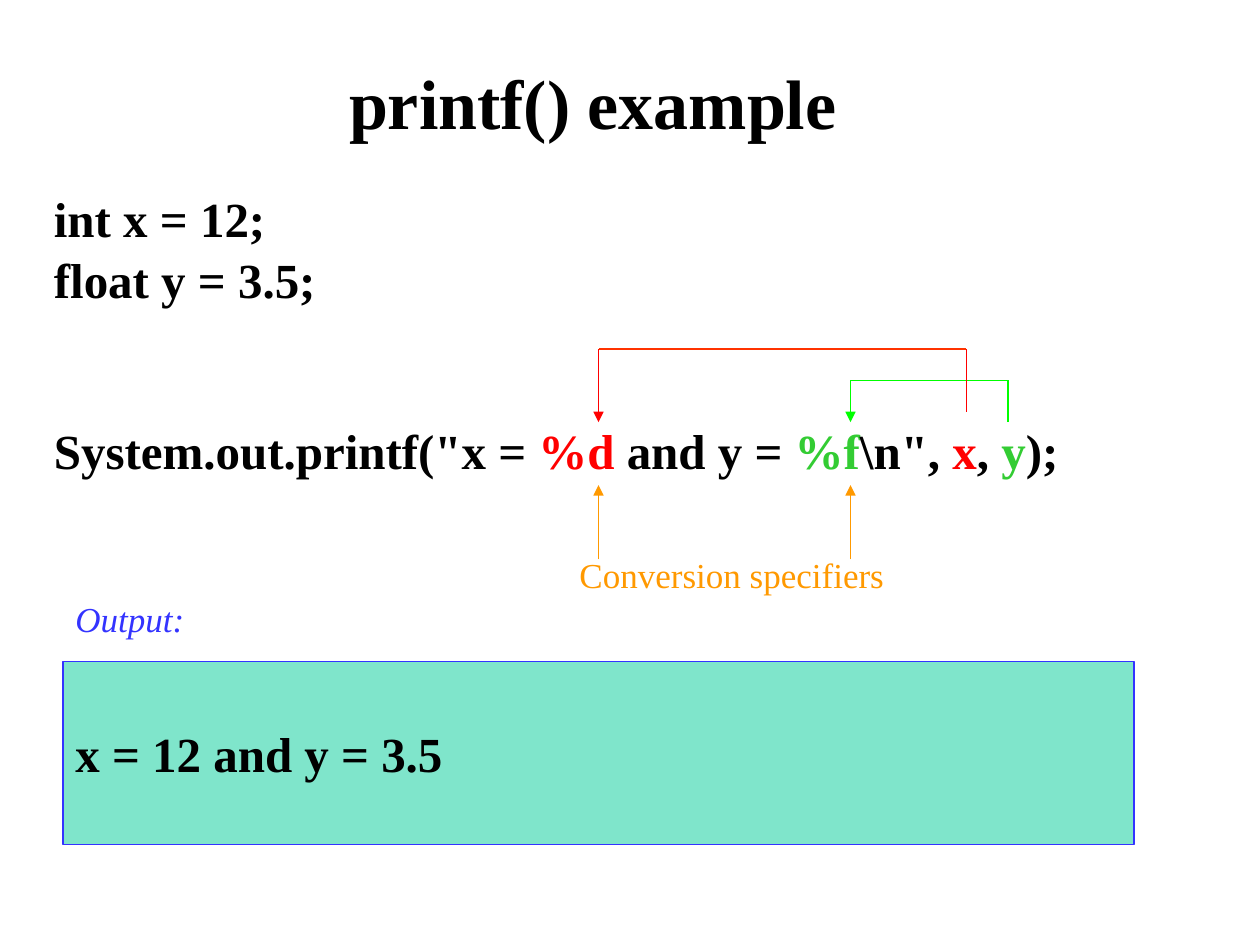
from itertools import pairwise
from lxml.etree import SubElement
from pptx import Presentation
from pptx.dml.color import RGBColor
from pptx.enum.shapes import MSO_CONNECTOR, MSO_SHAPE
from pptx.enum.text import MSO_ANCHOR, PP_ALIGN
from pptx.oxml.ns import qn
from pptx.util import Inches, Pt

THEME = {
    "font": "Times New Roman",
    "title": 40, "code": 28, "label": 20,
    "black": "000000", "red": "FF0000", "bridge": "FF3300",
    "green": "33CC33", "bright": "00FF00",
    "orange": "FF9900", "blue": "3333FF", "teal": "00CC99",
    "line": 0.75,
}

TITLE = [[("printf() example", "black")]]
CODE = [
    [("int x = 12;\vfloat y = 3.5;", "black")],
    [('System.out.printf("x = ', "black"), ("%d", "red"), (" and y = ", "black"),
     ("%f", "green"), ('\\n", ', "black"), ("x", "red"), (", ", "black"),
     ("y", "green"), (");", "black")],
]
OUTPUT = [[("x = 12 and y = 3.5", "black")]]
SPECIFIERS = [[("Conversion specifiers", "orange")]]
OUTPUT_LABEL = [[("Output:", "blue")]]

D_X, F_X = 4.75, 6.75
ROUTES = [
    ([(D_X, 4.44), (D_X, 3.85)], ["orange"]),
    ([(F_X, 4.44), (F_X, 3.85)], ["orange"]),
    ([(8, 3.35), (8, 3.02), (F_X, 3.02), (F_X, 3.35)], ["bright"] * 3),
    ([(7.67, 3.27), (7.67, 2.77), (D_X, 2.77), (D_X, 3.35)], ["red", "bridge", "red"]),
]


def color(name):
    return RGBColor.from_string(THEME[name])


def write(shape, paragraphs, size, bold=False, italic=False, anchor=MSO_ANCHOR.TOP,
          align=PP_ALIGN.LEFT, line_spacing=None, gap=0):
    frame = shape.text_frame
    frame.word_wrap = True
    frame.vertical_anchor = anchor
    for index, spans in enumerate(paragraphs):
        para = frame.paragraphs[0] if index == 0 else frame.add_paragraph()
        para.text = "".join(text for text, _ in spans) if len(spans) == 1 else ""
        para.alignment = align
        para.line_spacing = line_spacing
        para.space_before = Pt(gap if index else 0)
        if len(spans) > 1:
            for text, _ in spans:
                para.add_run().text = text
        names = [name for _, name in spans]
        for position, span in enumerate(para.runs):
            span.font.name = THEME["font"]
            span.font.size = Pt(THEME[size])
            span.font.bold = bold
            span.font.italic = italic
            span.font.color.rgb = color(names[min(position, len(names) - 1)])


def add_text(slide, place, paragraphs, size, **style):
    box = slide.shapes.add_textbox(*map(Inches, place))
    write(box, paragraphs, size, **style)


def add_output_panel(slide):
    panel = slide.shapes.add_shape(MSO_SHAPE.RECTANGLE, *map(Inches, (0.5, 5.25, 8.5, 1.45)))
    panel.shadow.inherit = False
    panel.fill.solid()
    panel.fill.fore_color.rgb = color("teal")
    tint = panel.fill._xPr.find(".//" + qn("a:srgbClr"))
    SubElement(tint, qn("a:alpha"), val="50000")
    panel.line.color.rgb = color("blue")
    panel.line.width = Pt(THEME["line"])
    write(panel, OUTPUT, "code", bold=True, anchor=MSO_ANCHOR.MIDDLE)


def add_route(slide, points, colors):
    for (start, end), name in zip(pairwise(points), colors):
        line = slide.shapes.add_connector(MSO_CONNECTOR.STRAIGHT, *map(Inches, start + end))
        line.line.color.rgb = color(name)
        line.line.width = Pt(THEME["line"])
        if end == points[-1]:
            SubElement(line.line._get_or_add_ln(), qn("a:tailEnd"), type="triangle")
        SubElement(line._element.spPr, qn("a:effectLst"))


def main():
    deck = Presentation()
    deck.slide_width, deck.slide_height = Inches(10), Inches(7.5)
    page = deck.slides.add_slide(deck.slide_layouts[6])
    add_text(page, (0.24, 0.42, 8.93, 0.77), TITLE, "title", bold=True,
             anchor=MSO_ANCHOR.MIDDLE, align=PP_ALIGN.CENTER)
    add_text(page, (0.33, 1.42, 9, 2.46), CODE, "code", bold=True,
             line_spacing=1.05, gap=62)
    add_output_panel(page)
    add_text(page, (4.5, 4.34, 3.92, 0.43), SPECIFIERS, "label")
    for points, colors in ROUTES:
        add_route(page, points, colors)
    add_text(page, (0.5, 4.69, 1.42, 0.43), OUTPUT_LABEL, "label", italic=True)
    deck.save("out.pptx")


if __name__ == "__main__":
    main()
